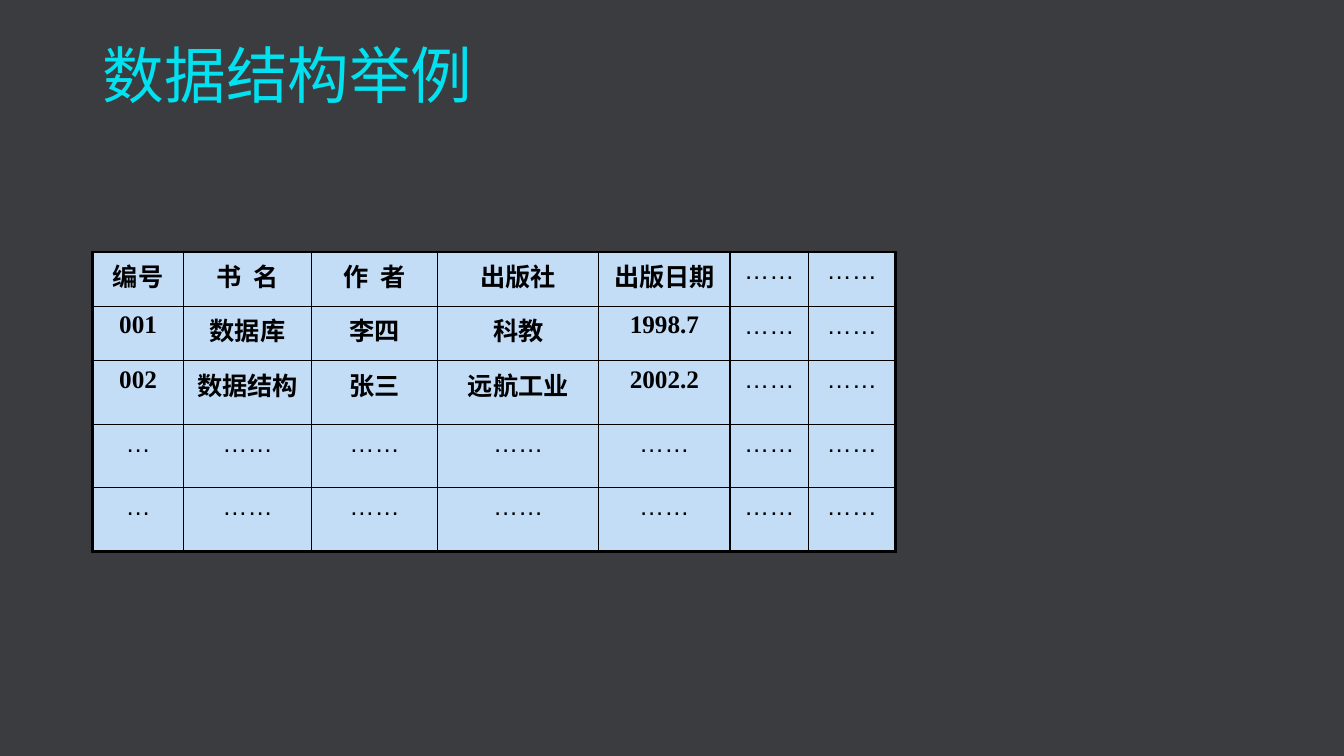
from pptx import Presentation, util as u
from pptx.dml.color import RGBColor
from pptx.enum import lang, text
from pptx.oxml import ns
from lxml import etree

BACKGROUND, TITLE_COLOUR = "3A3C3F", "01E1EF"
CELL_FILL, INK = "C3DDF7", "000000"
CHINESE_FONT = "Noto Sans CJK SC"
THIN, THICK = 1, 2.25

COLUMN_WIDTHS = [0.9, 1.27, 1.25, 1.6, 1.3, 0.78, 0.86]
ROW_HEIGHTS = [0.54, 0.54, 0.63, 0.63, 0.63]
DOTS = "……"
BOOKS = [
    ["编号", "书 名", "作 者", "出版社", "出版日期", DOTS, DOTS],
    ["001", "数据库", "李四", "科教", "1998.7", DOTS, DOTS],
    ["002", "数据结构", "张三", "远航工业", "2002.2", DOTS, DOTS],
    ["…"] + [DOTS] * 6,
    ["…"] + [DOTS] * 6,
]


def paint(fill, colour):
    fill.solid()
    fill.fore_color.rgb = RGBColor.from_string(colour)


def add_run(paragraph, words, size, font_name, colour, bold=False):
    run = paragraph.add_run()
    run.text = words
    font = run.font
    font.size, font.name, font.bold = u.Pt(size), font_name, bold
    font.language_id = lang.MSO_LANGUAGE_ID.SIMPLIFIED_CHINESE
    paint(font.fill, colour)
    properties = run._r.get_or_add_rPr()
    etree.SubElement(properties, ns.qn("a:ea"), typeface=CHINESE_FONT)
    # Widen the gap in spaced headings
    if " " in words:
        properties.set("spc", "225")


def set_borders(cell, widths):
    """Draw the left, right, top and bottom borders, in that order."""
    properties = cell._tc.get_or_add_tcPr()
    for side, width in zip("LRTB", widths):
        line = etree.SubElement(properties, ns.qn(f"a:ln{side}"), w=str(u.Pt(width)))
        fill = etree.SubElement(line, ns.qn("a:solidFill"))
        etree.SubElement(fill, ns.qn("a:srgbClr"), val=INK)


def place_title(slide, left, top, width, height):
    title = slide.shapes.title
    title.left, title.top = u.Inches(left), u.Inches(top)
    title.width, title.height = u.Inches(width), u.Inches(height)
    frame = title.text_frame
    frame.word_wrap = True
    frame.auto_size = text.MSO_AUTO_SIZE.NONE
    frame.vertical_anchor = text.MSO_ANCHOR.TOP
    paragraph = frame.paragraphs[0]
    paragraph.alignment = text.PP_ALIGN.LEFT
    paragraph.line_spacing = 0.9
    add_run(paragraph, "数据结构举例", 44, CHINESE_FONT, TITLE_COLOUR)


def fill_cell(cell, words):
    paint(cell.fill, CELL_FILL)
    paragraph = cell.text_frame.paragraphs[0]
    paragraph.alignment = text.PP_ALIGN.CENTER
    paragraph.space_before = u.Pt(6)
    is_dots = words.startswith("…")
    font_name = "Arial" if is_dots else "Times New Roman"
    add_run(paragraph, words, 18, font_name, INK, bold=not is_dots)


def place_book_table(slide, left, top):
    row_count, column_count = len(ROW_HEIGHTS), len(COLUMN_WIDTHS)
    table = slide.shapes.add_table(
        row_count, column_count, u.Inches(left), u.Inches(top),
        u.Inches(sum(COLUMN_WIDTHS)), u.Inches(sum(ROW_HEIGHTS))).table
    table.first_row = table.horz_banding = False
    for column, width in zip(table.columns, COLUMN_WIDTHS):
        column.width = u.Inches(width)
    for row, height in zip(table.rows, ROW_HEIGHTS):
        row.height = u.Inches(height)

    # Thick frame around the table, thin lines inside it
    for i, record in enumerate(BOOKS):
        for j, words in enumerate(record):
            cell = table.cell(i, j)
            outer = [j == 0, j == column_count - 1, i == 0, i == row_count - 1]
            set_borders(cell, [THICK if edge else THIN for edge in outer])
            fill_cell(cell, words)


def main():
    presentation = Presentation()
    presentation.slide_width = u.Inches(13.33)
    presentation.slide_height = u.Inches(7.5)
    slide = presentation.slides.add_slide(presentation.slide_layouts[5])
    paint(slide.background.fill, BACKGROUND)
    place_book_table(slide, 0.92, 2.5)
    place_title(slide, 0.92, 0.4, 11.5, 1.45)
    presentation.save("out.pptx")


if __name__ == "__main__":
    main()
